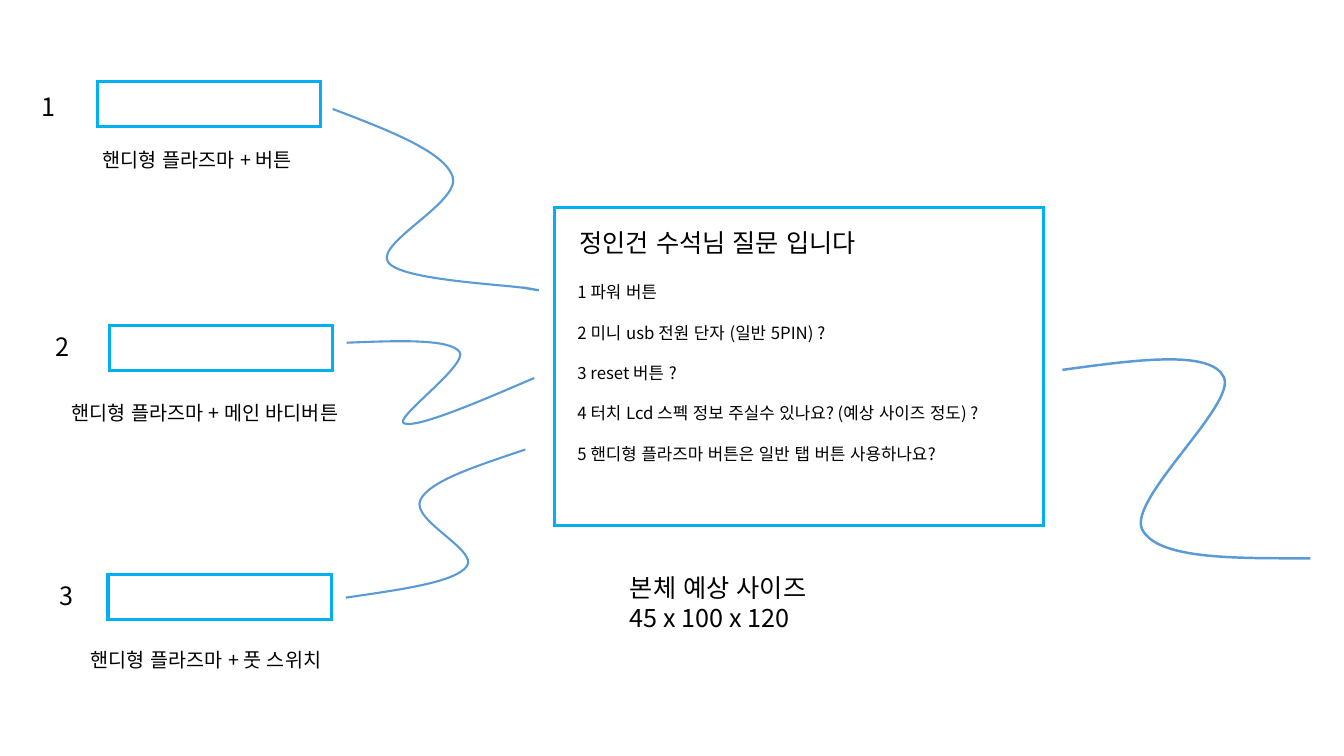
from lxml.etree import SubElement
from pptx import Presentation
from pptx.dml.color import RGBColor
from pptx.enum.lang import MSO_LANGUAGE_ID
from pptx.enum.shapes import MSO_SHAPE
from pptx.enum.text import MSO_AUTO_SIZE
from pptx.oxml.ns import qn
from pptx.util import Pt

FONT = "Noto Sans CJK KR"
BLACK = RGBColor(0x00, 0x00, 0x00)
FRAME_BLUE = RGBColor(0x00, 0xB0, 0xF0)
CABLE_BLUE = RGBColor(0x5B, 0x9B, 0xD5)
LINE_HEIGHT = 1.2

QUESTIONS = [
    "1 파워 버튼",
    "2 미니 usb 전원 단자 (일반 5PIN) ?",
    "3 reset 버튼 ?",
    "4 터치 Lcd 스펙 정보 주실수 있나요? (예상 사이즈 정도) ?",
    "5 핸디형 플라즈마 버튼은 일반 탭 버튼 사용하나요?",
]

# Number, label, box position, number offset, label offset, label width
HANDPIECES = [
    ("1", "핸디형 플라즈마 + 버튼", (69.4, 58.3), (-47.1, 3.6), (-3.2, 43.9), 166.3),
    ("2", "핸디형 플라즈마 + 메인 바디버튼", (78, 232.6), (-45.6, 0.7), (-34.1, 50.4), 227.5),
    ("3", "핸디형 플라즈마 + 풋 스위치", (77.1, 410.6), (-41.8, 0.7), (-19.5, 48.8), 199.4),
]

# Position, line width, then a start point followed by three points per curve
CABLES = [
    ((237.6, 77.8), 1.5, [
        (0, 0), (39.6, 15.1), (79.2, 30.2), (85.7, 48.2),
        (92.2, 66.2), (30.2, 95.8), (39.6, 109.4),
        (48.2, 122.4), (122.4, 125.3), (139, 128.2),
        (154.8, 131), (144.7, 128.9), (135.4, 127.4)]),
    ((247.7, 241.9), 1.5, [
        (0, 2.9), (36.7, 1.4), (73.4, 0), (80.6, 9.4),
        (87.1, 18.7), (32.4, 57.6), (41, 60.5),
        (49.7, 64.1), (92.2, 46.1), (133.9, 28.1)]),
    ((247, 321.1), 1.5, [
        (128.2, 0), (94.3, 11.5), (59.8, 22.3), (53.3, 36),
        (46.1, 50.4), (95, 72), (86.4, 83.5),
        (77.8, 95), (38.9, 100.1), (0, 105.8)]),
    ((758.9, 249.8), 1.75, [
        (0, 14.4), (52.6, 7.2), (105.8, 0), (115.2, 19.4),
        (125.3, 38.2), (46.8, 106.6), (56.9, 128.2),
        (67.7, 149.8), (122.4, 149), (177.1, 149)]),
]


def add_text(slide, left, top, width, lines, size, gap=0):
    height = len(lines) * (size * LINE_HEIGHT + gap) + 7.2
    shape = slide.shapes.add_textbox(Pt(left), Pt(top), Pt(width), Pt(height))
    frame = shape.text_frame
    frame.text = "\n".join(lines)
    frame.word_wrap = False
    frame.auto_size = MSO_AUTO_SIZE.SHAPE_TO_FIT_TEXT
    font_format = {"name": FONT, "size": Pt(size), "language_id": MSO_LANGUAGE_ID.KOREAN}
    spacing = {"line_spacing": Pt(size * LINE_HEIGHT), "space_after": Pt(gap)}
    for paragraph in frame.paragraphs:
        for name, value in spacing.items():
            setattr(paragraph, name, value)
        font = paragraph.runs[0].font
        for name, value in font_format.items():
            setattr(font, name, value)
        font.color.rgb = BLACK
        # Korean letters take the East Asian typeface
        SubElement(font._element, qn("a:ea")).set("typeface", FONT)


def style_outline(shape, color, width):
    shape.shadow.inherit = False
    shape.fill.background()
    shape.line.color.rgb = color
    shape.line.width = Pt(width)
    # Sharp corners
    SubElement(shape.line._ln, qn("a:miter")).set("lim", "800000")


def add_frame(slide, left, top, width, height):
    shape = slide.shapes.add_shape(
        MSO_SHAPE.RECTANGLE, Pt(left), Pt(top), Pt(width), Pt(height))
    style_outline(shape, FRAME_BLUE, 2.25)


def add_main_body(slide, left, top, width, height):
    add_frame(slide, left, top, width, height)
    add_text(slide, left + 10.8, top + 10.8, 234, ["정인건 수석님 질문 입니다"], 18)
    add_text(slide, left + 9.4, top + 49.7, 332, QUESTIONS, 12, gap=14.4)
    # Expected size, below the frame
    add_text(slide, left + 46.8, top + height + 30.2, 154.8,
             ["본체 예상 사이즈", "45 x 100 x 120"], 18)


def add_handpiece(slide, left, top, number, label, number_offset, label_offset, label_width):
    add_frame(slide, left, top, 159.5, 32)
    add_text(slide, left + number_offset[0], top + number_offset[1], 24.5, [number], 18)
    add_text(slide, left + label_offset[0], top + label_offset[1], label_width, [label], 14)


def add_cable(slide, left, top, line_width, points):
    start, *controls = [(Pt(x), Pt(y)) for x, y in points]
    builder = slide.shapes.build_freeform(*start)
    builder.add_line_segments(controls, close=False)
    shape = builder.convert_to_shape(Pt(left), Pt(top))
    # Join every three segments into one Bézier curve
    outline = shape._element.find(".//" + qn("a:path"))
    segments = outline.findall(qn("a:lnTo"))
    for curve, second, third in zip(segments[::3], segments[1::3], segments[2::3]):
        curve.tag = qn("a:cubicBezTo")
        for segment in (second, third):
            curve.append(segment[0])
            outline.remove(segment)
    style_outline(shape, CABLE_BLUE, line_width)


def main():
    presentation = Presentation()
    presentation.slide_width, presentation.slide_height = Pt(960), Pt(540)
    slide = presentation.slides.add_slide(presentation.slide_layouts[6])

    # Main body with the questions
    add_main_body(slide, 396, 148.3, 349.2, 226.8)

    # Handpieces on the left
    for number, label, position, number_offset, label_offset, label_width in HANDPIECES:
        add_handpiece(slide, *position, number, label, number_offset, label_offset, label_width)

    # Cables to and from the main body
    for position, line_width, points in CABLES:
        add_cable(slide, *position, line_width, points)

    presentation.save("out.pptx")


if __name__ == "__main__":
    main()
